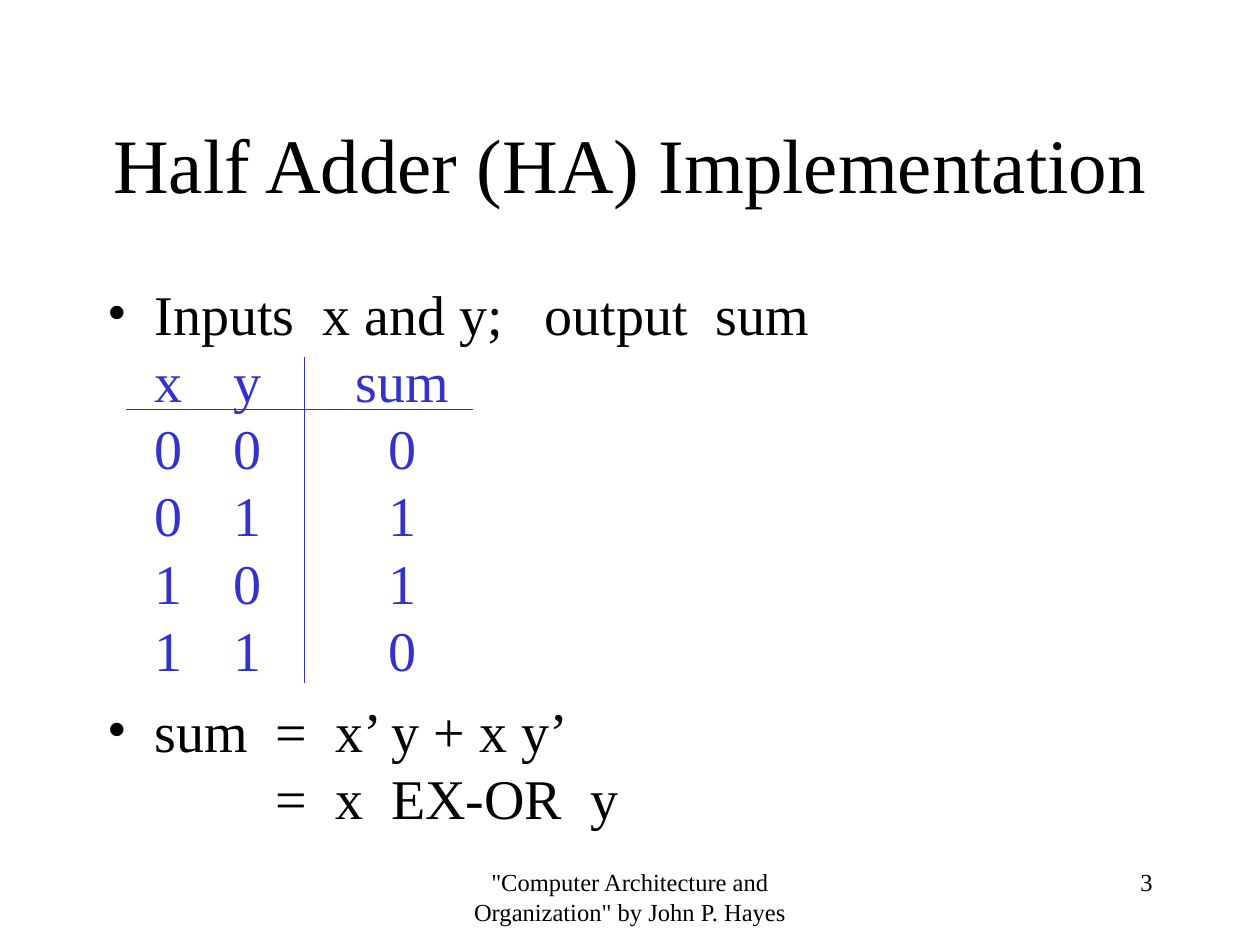
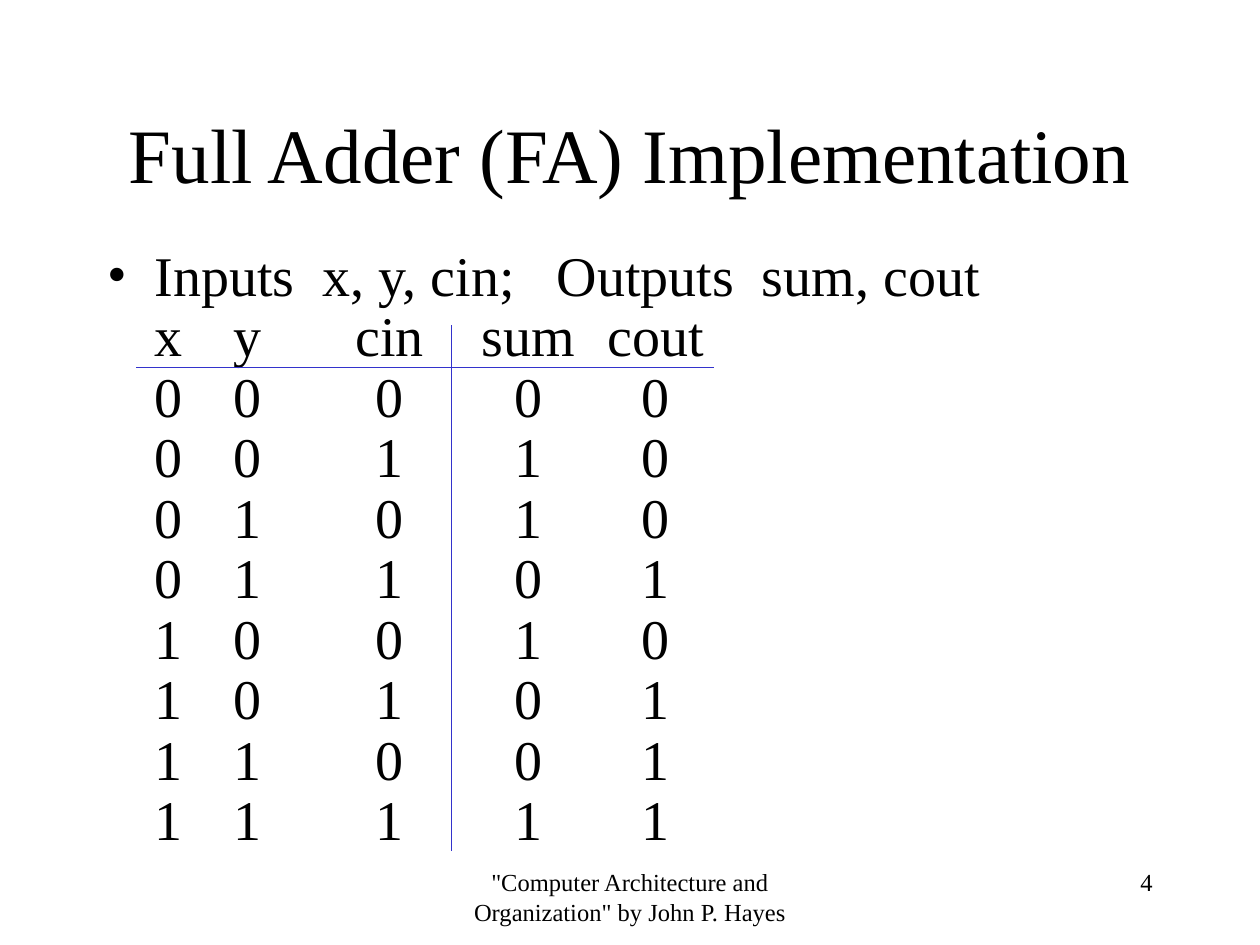
import itertools
from copy import deepcopy
from dataclasses import dataclass

import pptx
import pptx.dml.color
import pptx.enum.shapes
import pptx.enum.text
import pptx.oxml.ns
import pptx.util
from lxml import etree
from pptx.util import Cm

COLORS = {"text": "000000", "accent": "3333CC", "background": "FFFFFF"}
FONT = "Times New Roman"
FOOTER = '"Computer Architecture and Organization" by John P. Hayes'
LEFT, WIDTH, TITLE_HEIGHT = 1.91, 21.59, 3.18
FOOTER_TOP, FOOTER_HEIGHT = 17.36, 1.27
INDENT = 0.95
ALIGN = pptx.enum.text.PP_ALIGN


@dataclass
class Tab:
    pos: float
    align: str = "l"


@dataclass
class Span:
    text: str
    color: str = "text"


@dataclass
class Bullet:
    spans: list[Span]
    tabs: list[Tab]


@dataclass
class Rule:
    x1: float
    y1: float
    x2: float
    y2: float


@dataclass
class AdderSlide:
    number: int
    title: str
    title_top: float
    body_top: float
    body_height: float
    line_spacing: float
    bullets: list[Bullet]
    rules: list[Rule]


def rgb(name: str) -> pptx.dml.color.RGBColor:
    return pptx.dml.color.RGBColor.from_string(COLORS[name])


def add_text(p, text: str, *, size: float, color: str = "text", align=None) -> None:
    """Add formatted text to a paragraph; each newline becomes a line break."""
    if align is not None:
        p.alignment = align
    for i, line in enumerate(text.split("\n")):
        if i:
            p.add_line_break()
            br = p._p[-1]
        r = p.add_run()
        r.text = line
        r.font.name, r.font.size = FONT, pptx.util.Pt(size)
        r.font.color.rgb = rgb(color)
        if i:
            br.append(deepcopy(r._r.rPr))


def sub(parent, tag: str, **attrs: str):
    return etree.SubElement(parent, pptx.oxml.ns.qn(tag), attrs)


def place(sp, left: float, top: float, width: float, height: float):
    """Move a text shape and return its text frame."""
    sp.left, sp.top, sp.width, sp.height = map(Cm, (left, top, width, height))
    tf = sp.text_frame
    tf.word_wrap = True
    tf.auto_size = pptx.enum.text.MSO_AUTO_SIZE.NONE
    return tf


def add_bullet(p, bullet: Bullet, first: bool, line_spacing: float) -> None:
    pPr = p._p.get_or_add_pPr()
    pPr.set("marL", str(Cm(INDENT)))
    pPr.set("indent", str(-Cm(INDENT)))
    sub(sub(pPr, "a:buClr"), "a:srgbClr", val=COLORS["text"])
    sub(pPr, "a:buFont", typeface=FONT)
    sub(pPr, "a:buChar", char="•")
    tabs = sub(pPr, "a:tabLst")
    for tab in bullet.tabs:
        sub(tabs, "a:tab", pos=str(Cm(tab.pos)), algn=tab.align)
    p.space_before = pptx.util.Pt(0 if first else 8)
    p.line_spacing = line_spacing
    for span in bullet.spans:
        add_text(p, span.text, size=32, color=span.color)


def add_rule(s, rule: Rule) -> None:
    line = s.shapes.add_connector(
        pptx.enum.shapes.MSO_CONNECTOR.STRAIGHT,
        Cm(rule.x1), Cm(rule.y1), Cm(rule.x2), Cm(rule.y2))
    line.line.color.rgb = rgb("accent")
    line.line.width = pptx.util.Pt(0.75)
    sub(line._element.spPr, "a:effectLst")


def add_footer(s, text: str, left: float, width: float, align) -> None:
    box = s.shapes.add_textbox(0, 0, 0, 0)
    tf = place(box, left, FOOTER_TOP, width, FOOTER_HEIGHT)
    add_text(tf.paragraphs[0], text, size=14, align=align)


def add_slide(prs, adder: AdderSlide) -> None:
    s = prs.slides.add_slide(prs.slide_layouts[1])
    # Title
    tf = place(s.shapes.title, LEFT, adder.title_top, WIDTH, TITLE_HEIGHT)
    tf.vertical_anchor = pptx.enum.text.MSO_ANCHOR.MIDDLE
    add_text(tf.paragraphs[0], adder.title, size=44, align=ALIGN.CENTER)
    # Bullets and truth table
    tf = place(s.placeholders[1], LEFT, adder.body_top, WIDTH, adder.body_height)
    for i, bullet in enumerate(adder.bullets):
        p = tf.add_paragraph() if i else tf.paragraphs[0]
        add_bullet(p, bullet, i == 0, adder.line_spacing)
    for rule in adder.rules:
        add_rule(s, rule)
    # Footer
    add_footer(s, FOOTER, 8.68, 8.04, ALIGN.CENTER)
    add_footer(s, str(adder.number), 18.2, 5.29, ALIGN.RIGHT)


def truth_table(header: list[str], inputs: int, outputs) -> str:
    """List every input combination with its outputs, tab-separated."""
    rows = [header]
    for bits in itertools.product((0, 1), repeat=inputs):
        rows.append([str(b) for b in (*bits, *outputs(sum(bits)))])
    return "\n".join("\t".join(row) for row in rows)


HALF_TABLE = truth_table(["x", "y", "sum"], 2, lambda n: (n % 2,))
FULL_TABLE = truth_table(["x", "y", "cin", "sum", "cout"], 3,
                         lambda n: (n % 2, n // 2))

SLIDES = [
    AdderSlide(
        3, "Half Adder (HA) Implementation", 1.69, 5.5, 11.43, 1.0,
        [Bullet([Span("Inputs  x and y;   output  sum\n"), Span(HALF_TABLE, "accent")],
                [Tab(2.54), Tab(5.94, "ctr")]),
         Bullet([Span("sum  =  x’ y + x y’\n\t=  x  EX-OR  y")], [Tab(3.39)])],
        [Rule(2.54, 8.26, 9.53, 8.26), Rule(6.14, 7.2, 6.14, 13.76)]),
    AdderSlide(
        4, "Full Adder (FA) Implementation", 1.48, 4.87, 12.49, 0.9,
        [Bullet([Span("Inputs  x, y, cin;   Outputs  sum, cout\n" + FULL_TABLE)],
                [Tab(2.54), Tab(5.69, "ctr"), Tab(8.48, "ctr"), Tab(11.05, "ctr")])],
        [Rule(2.75, 7.41, 14.39, 7.41), Rule(9.1, 6.56, 9.1, 17.15)]),
]


def main() -> None:
    prs = pptx.Presentation()
    prs.slide_width, prs.slide_height = Cm(25.4), Cm(19.05)
    fill = prs.slide_master.background.fill
    fill.solid()
    fill.fore_color.rgb = rgb("background")
    for slide in SLIDES:
        add_slide(prs, slide)
    prs.save("out.pptx")


if __name__ == "__main__":
    main()
